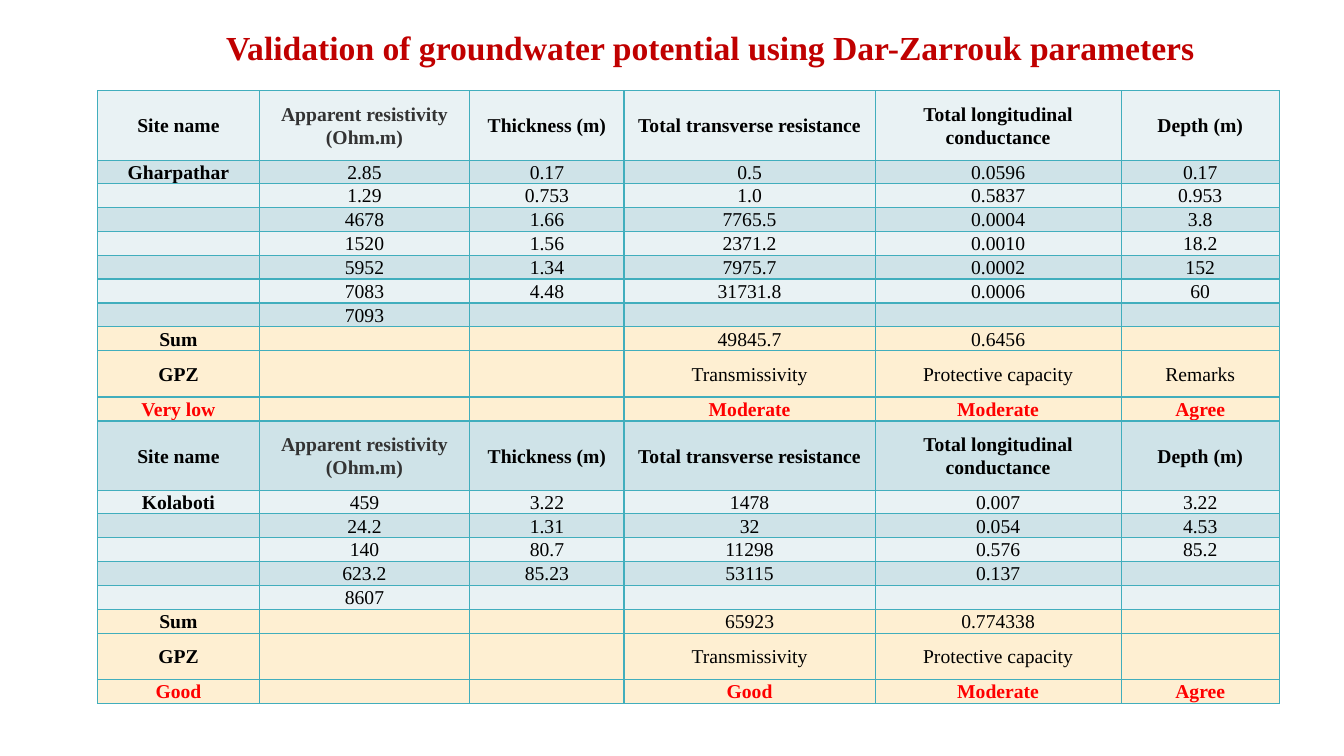
"""Builds the slide on groundwater validation with Dar-Zarrouk parameters."""
from dataclasses import dataclass

from lxml import etree
from pptx import Presentation
from pptx.dml.color import RGBColor
from pptx.enum.text import MSO_ANCHOR, MSO_AUTO_SIZE, PP_ALIGN
from pptx.oxml.ns import qn
from pptx.util import Inches, Pt

CENTER = PP_ALIGN.CENTER
MIDDLE, TOP = MSO_ANCHOR.MIDDLE, MSO_ANCHOR.TOP
NO_AUTOFIT = MSO_AUTO_SIZE.NONE

SLIDE_WIDTH, SLIDE_HEIGHT = 13.33, 7.5
TABLE_LEFT, TABLE_TOP = 0.97, 0.9
COLUMN_WIDTHS = (1.6, 2.09, 1.53, 2.49, 2.44, 1.57)
ROW_UNIT = 0.23


@dataclass(frozen=True)
class Theme:
    """Colours and type of the slide."""
    font: str = "Times New Roman"
    title_size: int = 24
    cell_size: int = 14
    title: str = "C00000"
    text: str = "000000"
    soft_text: str = "333333"
    verdict: str = "FF0000"
    border: str = "41AEBD"
    bands: tuple[str, str] = ("E9F2F4", "CFE3E8")
    conclusion: str = "FEEFD2"


@dataclass(frozen=True)
class Row:
    """One table row, with its height in row units and its styling."""
    values: tuple[str, ...]
    units: int = 1
    header: bool = False
    conclusion: bool = False
    verdict: bool = False


@dataclass(frozen=True)
class Site:
    """Layer readings and conclusions of one site."""
    name: str
    layers: tuple[tuple[str, ...], ...]
    sums: tuple[str, str]
    remarks: str
    verdicts: tuple[str, str, str, str]


THEME = Theme()
HEADINGS = ("Site name", "Apparent resistivity (Ohm.m)", "Thickness (m)",
            "Total transverse resistance", "Total longitudinal conductance", "Depth (m)")
SOFT_COLUMN = 1
SITES = (
    Site("Gharpathar", (
        ("2.85", "0.17", "0.5", "0.0596", "0.17"),
        ("1.29", "0.753", "1.0", "0.5837", "0.953"),
        ("4678", "1.66", "7765.5", "0.0004", "3.8"),
        ("1520", "1.56", "2371.2", "0.0010", "18.2"),
        ("5952", "1.34", "7975.7", "0.0002", "152"),
        ("7083", "4.48", "31731.8", "0.0006", "60"),
        ("7093", "", "", "", ""),
    ), ("49845.7", "0.6456"), "Remarks", ("Very low", "Moderate", "Moderate", "Agree")),
    Site("Kolaboti", (
        ("459", "3.22", "1478", "0.007", "3.22"),
        ("24.2", "1.31", "32", "0.054", "4.53"),
        ("140", "80.7", "11298", "0.576", "85.2"),
        ("623.2", "85.23", "53115", "0.137", ""),
        ("8607", "", "", "", ""),
    ), ("65923", "0.774338"), "", ("Good", "Good", "Moderate", "Agree")),
)


def site_rows(site: Site) -> list[Row]:
    """Lay out one site as a header, its layers and three conclusion rows."""
    grade, *findings = site.verdicts
    layers = [Row((site.name if index == 0 else "", *layer))
              for index, layer in enumerate(site.layers)]
    return [
        Row(HEADINGS, units=3, header=True),
        *layers,
        Row(("Sum", "", "", *site.sums, ""), conclusion=True),
        Row(("GPZ", "", "", "Transmissivity", "Protective capacity", site.remarks),
            units=2, conclusion=True),
        Row((grade, "", "", *findings), conclusion=True, verdict=True),
    ]


def style_font(font, size: int, color: str, bold: bool) -> None:
    """Apply the theme's typeface with a size, colour and weight."""
    font.name = THEME.font
    font.size = Pt(size)
    font.bold = bold
    font.color.rgb = RGBColor.from_string(color)


def add_borders(cell) -> None:
    """Draw a one-point line on all four sides of a cell."""
    properties = cell._tc.get_or_add_tcPr()
    for index, side in enumerate(("a:lnL", "a:lnR", "a:lnT", "a:lnB")):
        line = etree.Element(qn(side), w=str(Pt(1)))
        fill = etree.SubElement(line, qn("a:solidFill"))
        etree.SubElement(fill, qn("a:srgbClr"), val=THEME.border)
        properties.insert(index, line)


def fill_cell(cell, text: str, fill: str, color: str, bold: bool) -> None:
    """Write and format one table cell."""
    cell.fill.solid()
    cell.fill.fore_color.rgb = RGBColor.from_string(fill)
    add_borders(cell)
    cell.vertical_anchor = MIDDLE
    cell.margin_left = cell.margin_right = Inches(0.07)
    cell.margin_top = cell.margin_bottom = 0
    para = cell.text_frame.paragraphs[0]
    para.alignment = CENTER
    para.line_spacing = 1.07
    para.space_after = Pt(8)
    if text:
        span = para.add_run()
        span.text = text
        style_font(span.font, THEME.cell_size, color, bold)
    else:
        etree.SubElement(para._p, qn("a:endParaRPr"), sz=str(THEME.cell_size * 100))


def add_site_table(page, rows: list[Row]) -> None:
    """Add the table of all sites."""
    height = ROW_UNIT * sum(row.units for row in rows)
    frame = page.shapes.add_table(
        len(rows), len(COLUMN_WIDTHS), Inches(TABLE_LEFT), Inches(TABLE_TOP),
        Inches(sum(COLUMN_WIDTHS)), Inches(height))
    table = frame.table
    table.first_row = table.horz_banding = False
    for column, width in zip(table.columns, COLUMN_WIDTHS):
        column.width = Inches(width)
    for row_index, row in enumerate(rows):
        table.rows[row_index].height = Inches(ROW_UNIT * row.units)
        fill = THEME.conclusion if row.conclusion else THEME.bands[row_index % 2]
        for column_index, text in enumerate(row.values):
            color = THEME.verdict if row.verdict else THEME.text
            if row.header and column_index == SOFT_COLUMN:
                color = THEME.soft_text
            bold = row.header or row.verdict or column_index == 0
            fill_cell(table.cell(row_index, column_index), text, fill, color, bold)


def add_title(page, text: str) -> None:
    """Move, fill and format the title placeholder."""
    box = page.shapes.title
    box.left, box.top = Inches(0.66), Inches(0.22)
    box.width, box.height = Inches(11.77), Inches(0.5)
    frame = box.text_frame
    frame.word_wrap = True
    frame.auto_size = NO_AUTOFIT
    frame.vertical_anchor = TOP
    para = frame.paragraphs[0]
    para.alignment = CENTER
    para.space_after = Pt(10)
    indent = str(Inches(0.5))
    properties = para._p.get_or_add_pPr()
    properties.set("marL", indent)
    properties.set("indent", indent)
    span = para.add_run()
    span.text = text
    style_font(span.font, THEME.title_size, THEME.title, True)


def main() -> None:
    """Build and save the deck."""
    deck = Presentation()
    deck.slide_width, deck.slide_height = Inches(SLIDE_WIDTH), Inches(SLIDE_HEIGHT)
    page = deck.slides.add_slide(deck.slide_layouts[5])
    add_title(page, "Validation of groundwater potential using Dar-Zarrouk parameters")
    add_site_table(page, [row for site in SITES for row in site_rows(site)])
    deck.save("out.pptx")


if __name__ == "__main__":
    main()
